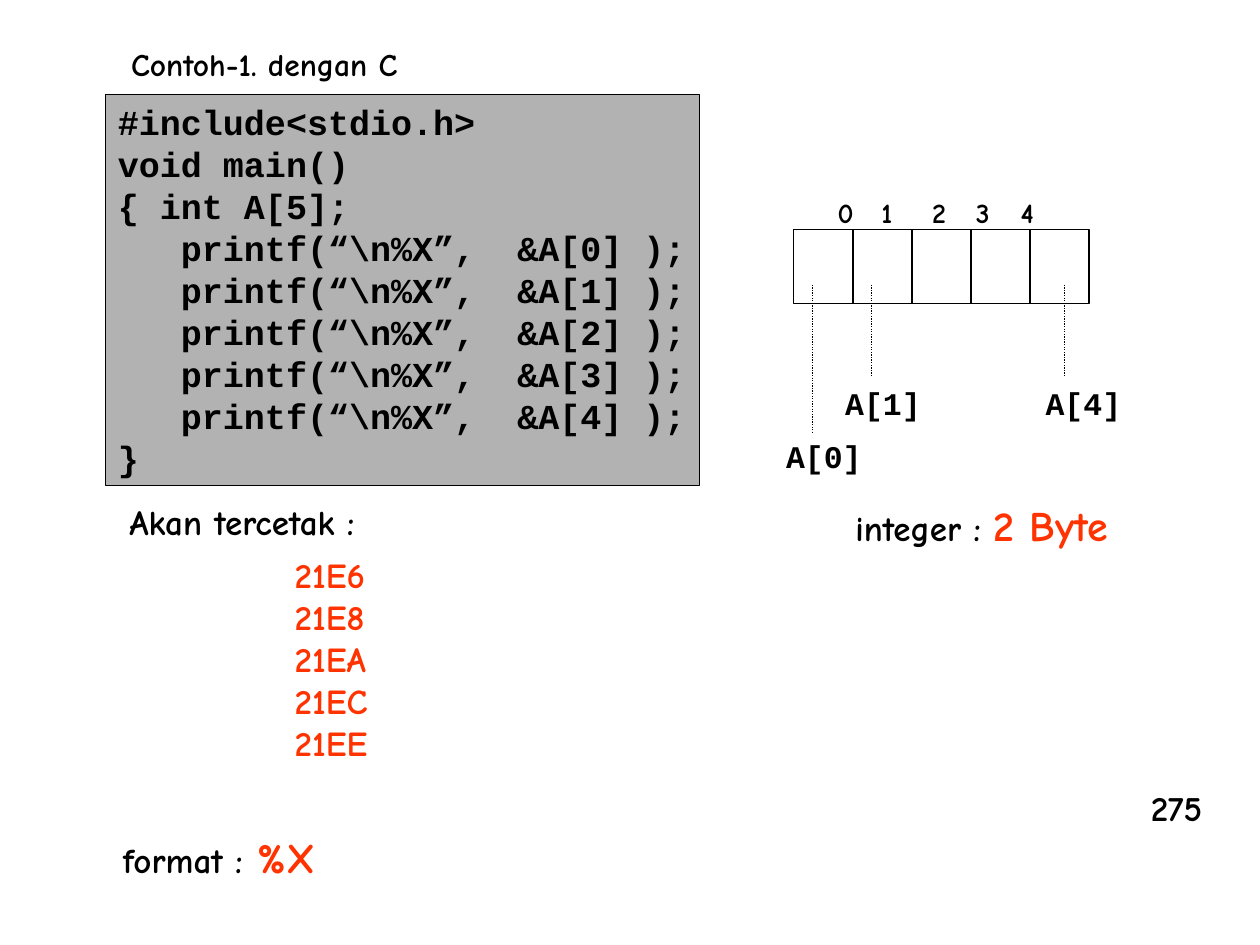
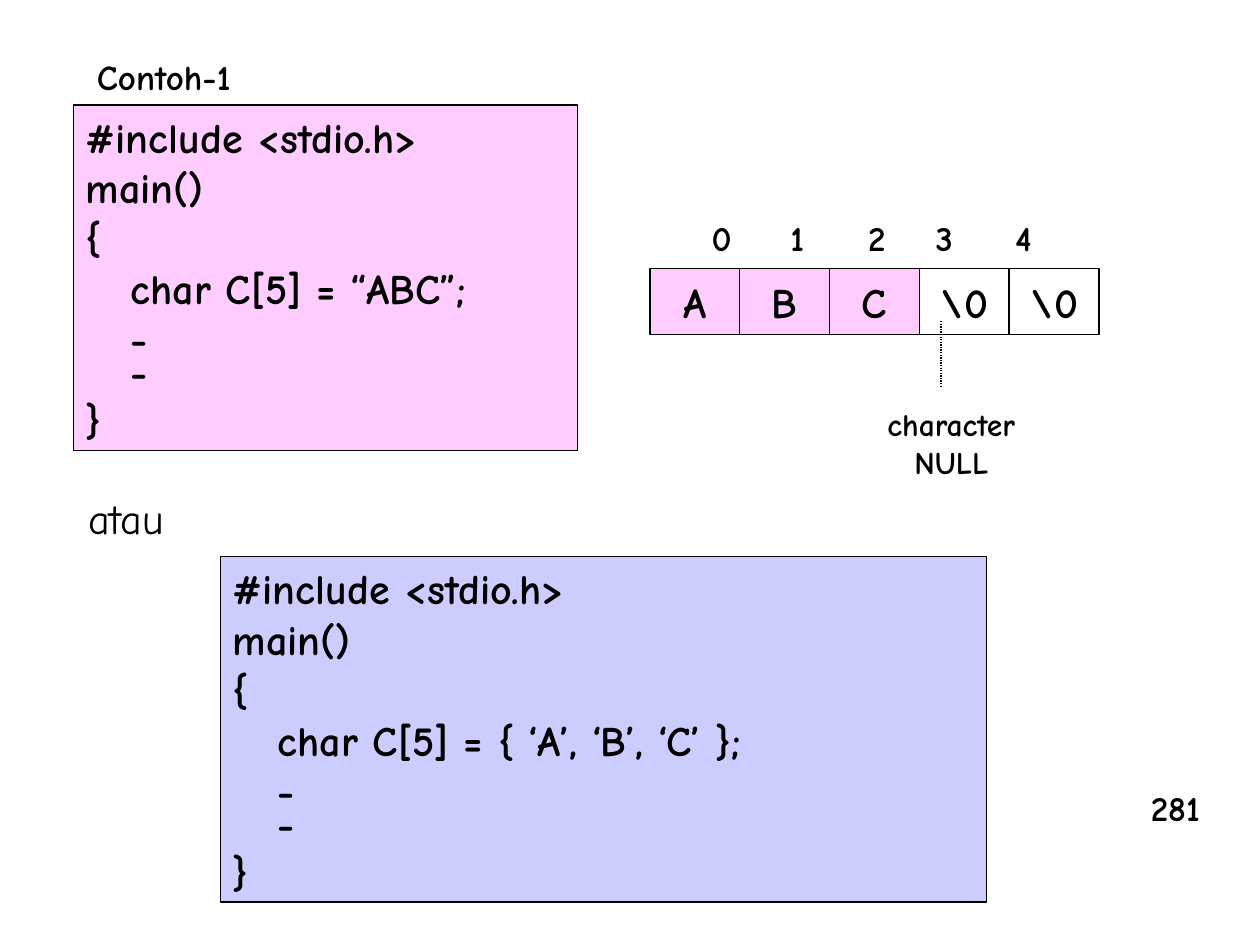
from lxml import etree
from pptx import Presentation
from pptx.dml.color import RGBColor
from pptx.enum.dml import MSO_LINE
from pptx.enum.shapes import MSO_CONNECTOR, MSO_SHAPE
from pptx.enum.text import MSO_ANCHOR, MSO_AUTO_SIZE, PP_ALIGN
from pptx.oxml.ns import qn
from pptx.util import Pt

RECTANGLE = MSO_SHAPE.RECTANGLE
STRAIGHT = MSO_CONNECTOR.STRAIGHT
DOTTED = MSO_LINE.ROUND_DOT
TOP, MIDDLE = MSO_ANCHOR.TOP, MSO_ANCHOR.MIDDLE
LEFT, CENTER = PP_ALIGN.LEFT, PP_ALIGN.CENTER
NO_AUTOFIT = MSO_AUTO_SIZE.NONE

COLORS = {
    "ink": "000000",
    "accent": "FF3300",
    "gray": "B2B2B2",
    "pink": "FFCCFF",
    "lavender": "CCCCFF",
}
BODY_FONT = "Comic Neue"
CODE_FONT = "Courier New"
TITLE_ONLY = 5

ADDRESS_CODE = [
    "#include<stdio.h>",
    "void main()",
    "{ int A[5];",
    *[f"   printf(“\\n%X”,  &A[{index}] );" for index in range(5)],
    "}",
]


def string_code(initial_value):
    return ["#include <stdio.h>", "main()", "{",
            f"   char C[5] = {initial_value};", "   -", "   -", "}"]


def color(name):
    return RGBColor.from_string(COLORS[name])


def points(*lengths):
    return [Pt(length) for length in lengths]


def write(frame, lines, size, font=BODY_FONT, ink="ink", bold=True,
          align=LEFT, anchor=TOP, wrap=False):
    frame.word_wrap = wrap
    frame.auto_size = NO_AUTOFIT
    frame.vertical_anchor = anchor
    frame.margin_left = frame.margin_right = Pt(7.2)
    frame.margin_top = frame.margin_bottom = Pt(3.6)
    for number, line in enumerate(lines):
        para = frame.paragraphs[0] if number == 0 else frame.add_paragraph()
        para.alignment = align
        spans = [(line, size, ink)] if isinstance(line, str) else line
        for words, span_size, span_ink in spans:
            span = para.add_run()
            span.text = words
            span.font.name = font
            span.font.size = Pt(span_size)
            span.font.bold = bold
            span.font.color.rgb = color(span_ink)


def add_label(page, box, lines, size, **style):
    label = page.shapes.add_textbox(*points(*box))
    write(label.text_frame, lines, size, **style)
    return label


def add_rectangle(page, box, fill=None):
    rectangle = page.shapes.add_shape(RECTANGLE, *points(*box))
    rectangle.shadow.inherit = False
    if fill:
        rectangle.fill.solid()
        rectangle.fill.fore_color.rgb = color(fill)
    else:
        rectangle.fill.background()
    rectangle.line.color.rgb = color("ink")
    rectangle.line.width = Pt(0.75)
    return rectangle


def add_code(page, box, lines, size, fill, tight_line=None, **style):
    frame = add_rectangle(page, box, fill).text_frame
    write(frame, lines, size, **style)
    if tight_line is not None:
        frame.paragraphs[tight_line].line_spacing = 0.6


def add_cells(page, box, contents, filled=0):
    left, top, width, height = box
    step = width / len(contents)
    for index, content in enumerate(contents):
        cell = add_rectangle(page, (left + index * step, top, step, height),
                             "pink" if index < filled else None)
        if content:
            write(cell.text_frame, [content], 24, align=CENTER, anchor=MIDDLE)


def add_indices(page, box, size, stops):
    label = page.shapes.add_textbox(*points(*box))
    properties = label.text_frame.paragraphs[0]._p.get_or_add_pPr()
    tabs = etree.SubElement(properties, qn("a:tabLst"))
    for stop in stops:
        etree.SubElement(tabs, qn("a:tab"), pos=str(Pt(stop)), algn="l")
    write(label.text_frame, ["\t".join("01234")], size, wrap=True)


def add_pointer(page, x, top, bottom):
    pointer = page.shapes.add_connector(STRAIGHT, *points(x, top, x, bottom))
    pointer.line.color.rgb = color("ink")
    pointer.line.width = Pt(0.75)
    pointer.line.dash_style = DOTTED
    etree.SubElement(pointer._element.spPr, qn("a:effectLst"))


def start_page(deck, title, title_box, size, number):
    page = deck.slides.add_slide(deck.slide_layouts[TITLE_ONLY])
    heading = page.shapes.title
    heading.left, heading.top, heading.width, heading.height = points(*title_box)
    write(heading.text_frame, [title], size)
    add_label(page, (650.5, 445.7, 43.5, 31.5), [number], 20)
    return page


def add_address_diagram(page, left, top):
    add_indices(page, (left + 18, top - 23, 138, 26.5), 16, (25, 54, 79, 104.5))
    add_cells(page, (left, top, 168.75, 42.5), [""] * 5)
    for index, x, pointer_end, label_x, label_y in (
            (0, 10.8, 116, -11.5, 115),
            (1, 44.6, 84.3, 22.3, 85),
            (4, 154.8, 84.3, 136.8, 85)):
        add_pointer(page, left + x, top + 31.7, top + pointer_end)
        add_label(page, (left + label_x, top + label_y, 57.6, 28.8),
                  [f"A[{index}]"], 18, font=CODE_FONT)


def add_string_diagram(page, left, top):
    add_indices(page, (left + 28, top - 33.3, 220, 31.5), 20, (45, 89.5, 128, 173.5))
    add_pointer(page, left + 166.3, top + 30.2, top + 68.2)
    add_cells(page, (left, top, 256.5, 38), ["A", "B", "C", "\\0", "\\0"], filled=3)
    add_label(page, (left + 128.2, top + 74.8, 87.8, 50.4),
              ["character", "NULL"], 18, align=CENTER)


def build_address_page(deck):
    page = start_page(deck, "Contoh-1. dengan C", (67.7, 22.3, 167, 28.8), 18, "275")
    add_code(page, (60.3, 54, 339.3, 223.4), ADDRESS_CODE, 20, "gray", font=CODE_FONT)
    add_label(page, (66.8, 282.2, 144.7, 31.5), ["Akan tercetak :"], 20)
    add_label(page, (161.3, 312.5, 56.2, 127.5),
              ["21E6", "21E8", "21EA", "21EC", "21EE"], 20, ink="accent")
    add_address_diagram(page, 453.6, 131)
    add_label(page, (481.7, 282.2, 160, 36),
              [[("integer : ", 20, "ink"), ("2 Byte", 24, "accent")]], 20)
    add_label(page, (63.2, 471.6, 125.3, 36),
              [[("format :", 20, "ink"), (" %X", 24, "accent")]], 20)


def build_string_page(deck):
    page = start_page(deck, "Contoh-1", (48.2, 28.1, 91.5, 31.5), 20, "281")
    add_code(page, (42, 60, 288, 197.3), string_code("“ABC”"), 24,
             "pink", tight_line=5, wrap=True)
    add_string_diagram(page, 371.5, 153.3)
    add_label(page, (43.2, 278, 58.3, 36), ["atau"], 24, bold=False)
    add_code(page, (126, 318.2, 437.8, 197.3), string_code("{ ‘A’, ‘B’, ‘C’ }"), 24,
             "lavender", tight_line=5, wrap=True)


def main():
    deck = Presentation()
    deck.slide_width, deck.slide_height = points(720, 540)
    build_address_page(deck)
    build_string_page(deck)
    deck.save("out.pptx")


if __name__ == "__main__":
    main()
